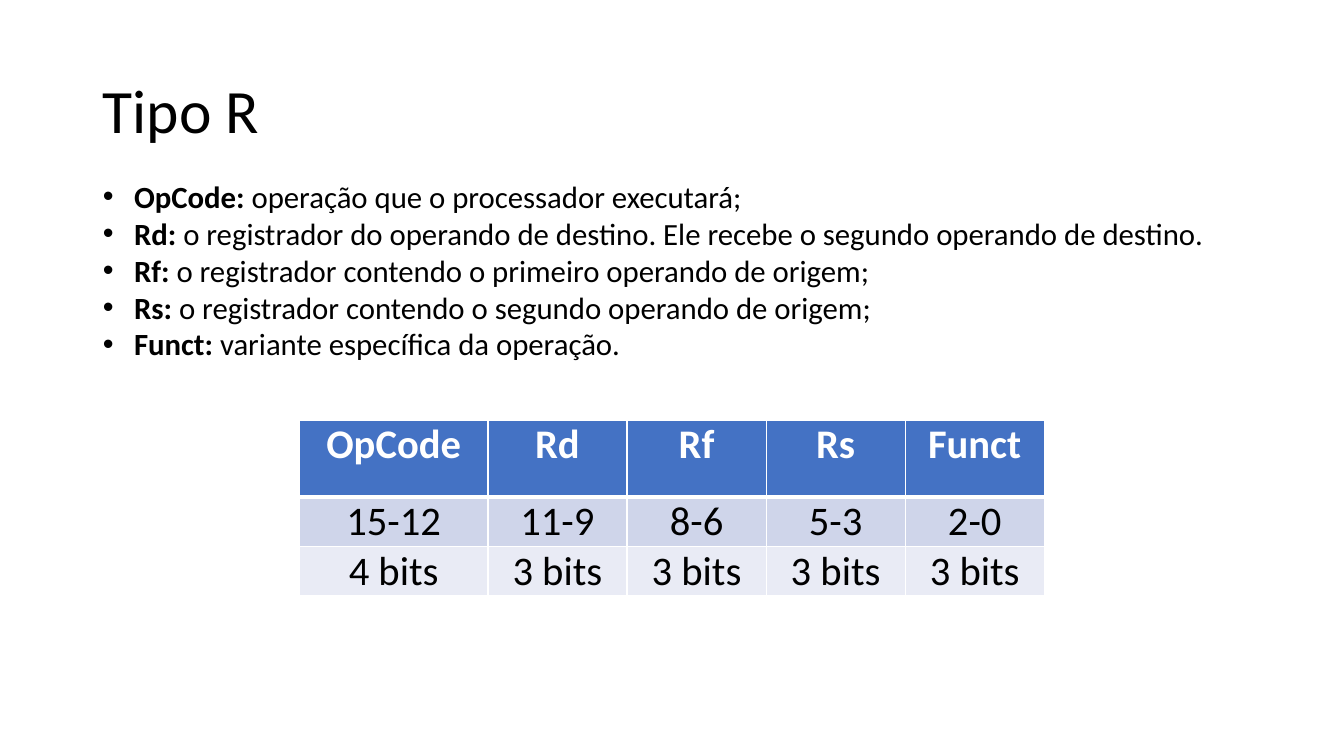
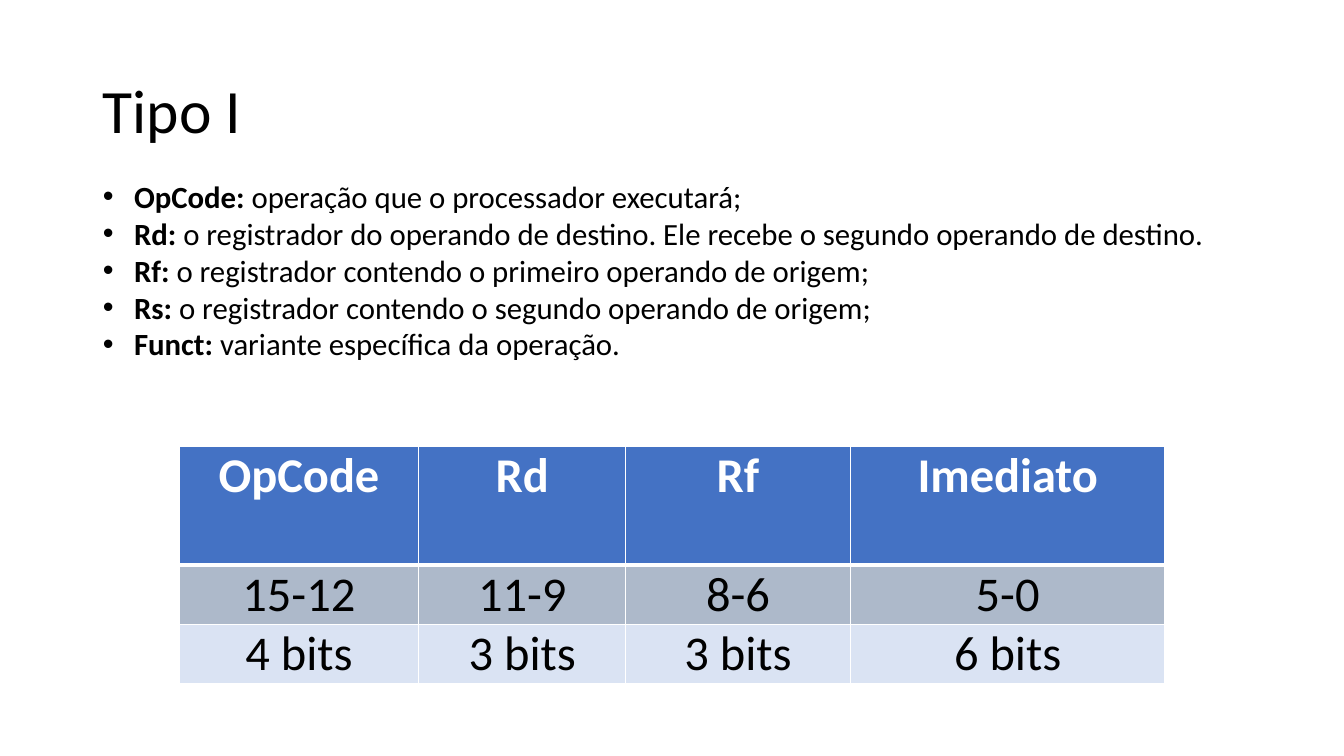
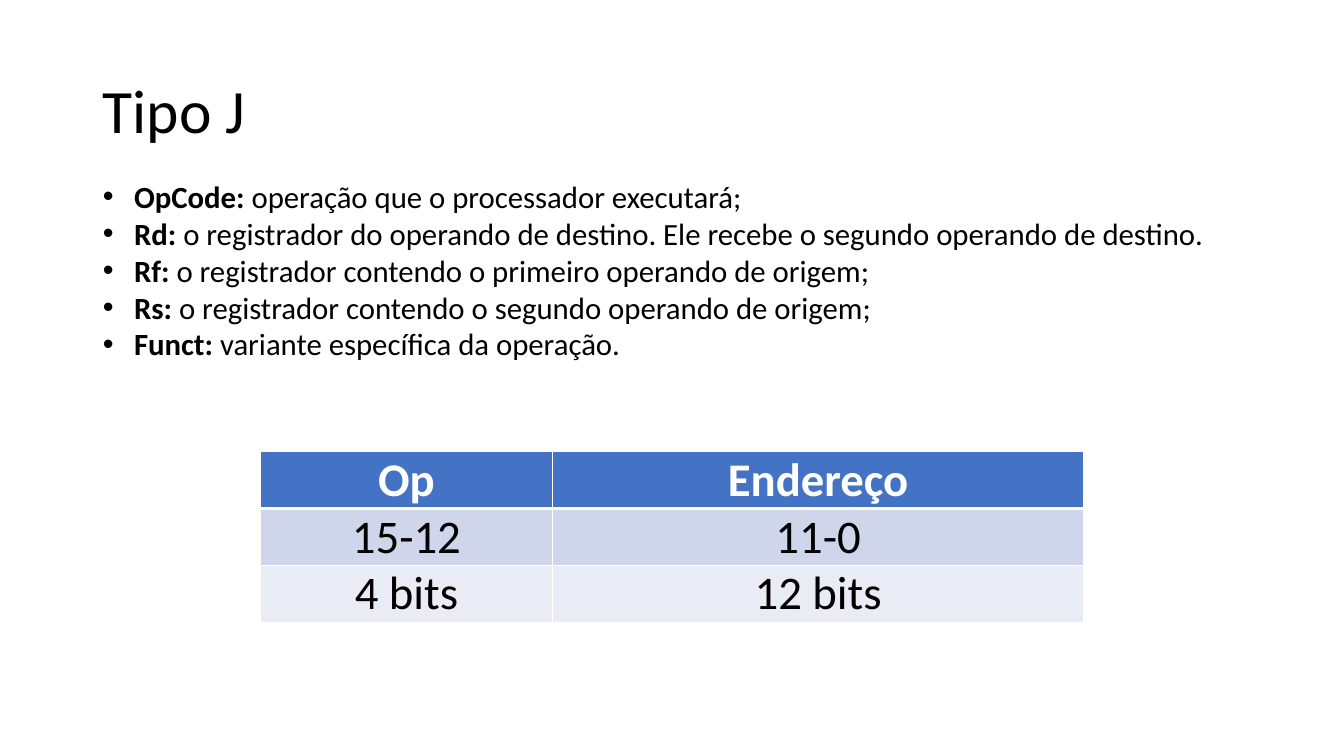
from lxml.etree import SubElement
from pptx import Presentation
from pptx.dml.color import RGBColor
from pptx.enum.text import MSO_ANCHOR, MSO_AUTO_SIZE, PP_ALIGN
from pptx.oxml.ns import qn
from pptx.util import Inches, Pt


def rgb(value):
    return RGBColor.from_string(value)


class Deck:
    FONT, TEXT, WHITE, HEAD = "Calibri", "000000", "FFFFFF", "4472C4"
    TITLE_SIZE, BODY_SIZE = 44, 22
    TITLE_BOX = (6.9, 5.33, 86.25, 19.33)
    BODY_BOX = (6.9, 22.8, 86.25, 26)
    INDENT = Inches(0.31)

    def __init__(self):
        self.prs = Presentation()
        self.prs.slide_width, self.prs.slide_height = Inches(13.33), Inches(7.5)

    def x(self, percent):
        return round(self.prs.slide_width * percent / 100)

    def y(self, percent):
        return round(self.prs.slide_height * percent / 100)

    def place(self, sp, box):
        left, top, width, height = box
        sp.left, sp.top = self.x(left), self.y(top)
        sp.width, sp.height = self.x(width), self.y(height)

    def run(self, p, text, size, color=TEXT, bold=False):
        r = p.add_run()
        r.text = text
        r.font.name, r.font.size, r.font.bold = self.FONT, Pt(size), bold
        r.font.color.rgb = rgb(color)

    def slide(self, title):
        self.s = self.prs.slides.add_slide(self.prs.slide_layouts[1])
        sp = self.s.shapes.title
        self.place(sp, self.TITLE_BOX)
        tf = sp.text_frame
        tf.vertical_anchor = MSO_ANCHOR.MIDDLE
        p = tf.paragraphs[0]
        p.alignment, p.line_spacing = PP_ALIGN.LEFT, 0.9
        self.run(p, title, self.TITLE_SIZE)

    def bullets(self, items):
        sp = self.s.placeholders[1]
        self.place(sp, self.BODY_BOX)
        tf = sp.text_frame
        tf.word_wrap, tf.auto_size = True, MSO_AUTO_SIZE.SHAPE_TO_FIT_TEXT
        for i, (term, meaning) in enumerate(items):
            p = tf.add_paragraph() if i else tf.paragraphs[0]
            p.alignment = PP_ALIGN.JUSTIFY if i else PP_ALIGN.LEFT
            p.line_spacing, p.space_before = 1.0, Pt(0)
            pPr = p._p.get_or_add_pPr()
            pPr.set("marL", str(self.INDENT))
            pPr.set("indent", str(-self.INDENT))
            self.run(p, f"{term}:", self.BODY_SIZE, bold=True)
            self.run(p, f" {meaning}", self.BODY_SIZE)

    def borders(self, cell, row):
        tcPr = cell._tc.get_or_add_tcPr()
        widths = {"lnL": 1, "lnR": 1, "lnT": 3 if row == 1 else 1,
                  "lnB": 3 if row == 0 else 1}
        for side, width in widths.items():
            ln = SubElement(tcPr, qn(f"a:{side}"), w=str(Pt(width)))
            fill = SubElement(ln, qn("a:solidFill"))
            SubElement(fill, qn("a:srgbClr"), val=self.WHITE)

    def table(self, rows, top, cols, heights, size, inset, bands):
        width = sum(cols)
        frame = self.s.shapes.add_table(
            len(rows), len(cols), self.x((100 - width) / 2), self.y(top),
            self.x(width), self.y(sum(heights)))
        table = frame.table
        for column, share in zip(table.columns, cols):
            column.width = self.x(share)
        for i, (texts, share) in enumerate(zip(rows, heights)):
            table.rows[i].height = self.y(share)
            for j, text in enumerate(texts):
                cell = table.cell(i, j)
                cell.margin_left = cell.margin_right = Inches(inset)
                cell.margin_top = cell.margin_bottom = 0
                self.borders(cell, i)
                cell.fill.solid()
                cell.fill.fore_color.rgb = rgb((self.HEAD, *bands)[i])
                p = cell.text_frame.paragraphs[0]
                p.alignment = PP_ALIGN.CENTER
                self.run(p, text, size, self.TEXT if i else self.WHITE, i == 0)


FIELDS = [
    ("OpCode", "operação que o processador executará;"),
    ("Rd", "o registrador do operando de destino. "
           "Ele recebe o segundo operando de destino."),
    ("Rf", "o registrador contendo o primeiro operando de origem;"),
    ("Rs", "o registrador contendo o segundo operando de origem;"),
    ("Funct", "variante específica da operação."),
]
LIGHT_BANDS = ("CFD5EA", "E9EBF5")
STRONG_BANDS = ("ADB9CA", "DAE3F3")

FORMATS = {
    "Tipo R": dict(
        rows=[("OpCode", "Rd", "Rf", "Rs", "Funct"),
              ("15-12", "11-9", "8-6", "5-3", "2-0"),
              ("4 bits", *["3 bits"] * 4)],
        top=55.6, cols=[14.02] + [10.35] * 4, heights=[10.13, 6.55, 6.55],
        size=29, inset=0.2, bands=LIGHT_BANDS),
    "Tipo I": dict(
        rows=[("OpCode", "Rd", "Rf", "Imediato"),
              ("15-12", "11-9", "8-6", "5-0"),
              ("4 bits", "3 bits", "3 bits", "6 bits")],
        top=59.07, cols=[17.85, 15.38, 16.73, 23.4], heights=[15.7, 7.85, 7.85],
        size=34.6, inset=0.24, bands=STRONG_BANDS),
    "Tipo J": dict(
        rows=[("Op", "Endereço"), ("15-12", "11-0"), ("4 bits", "12 bits")],
        top=59.73, cols=[21.75, 39.52], heights=[7.53] * 3,
        size=33.4, inset=0.23, bands=LIGHT_BANDS),
}

deck = Deck()
for title, layout in FORMATS.items():
    deck.slide(title)
    deck.bullets(FIELDS)
    deck.table(**layout)
deck.prs.save("out.pptx")
